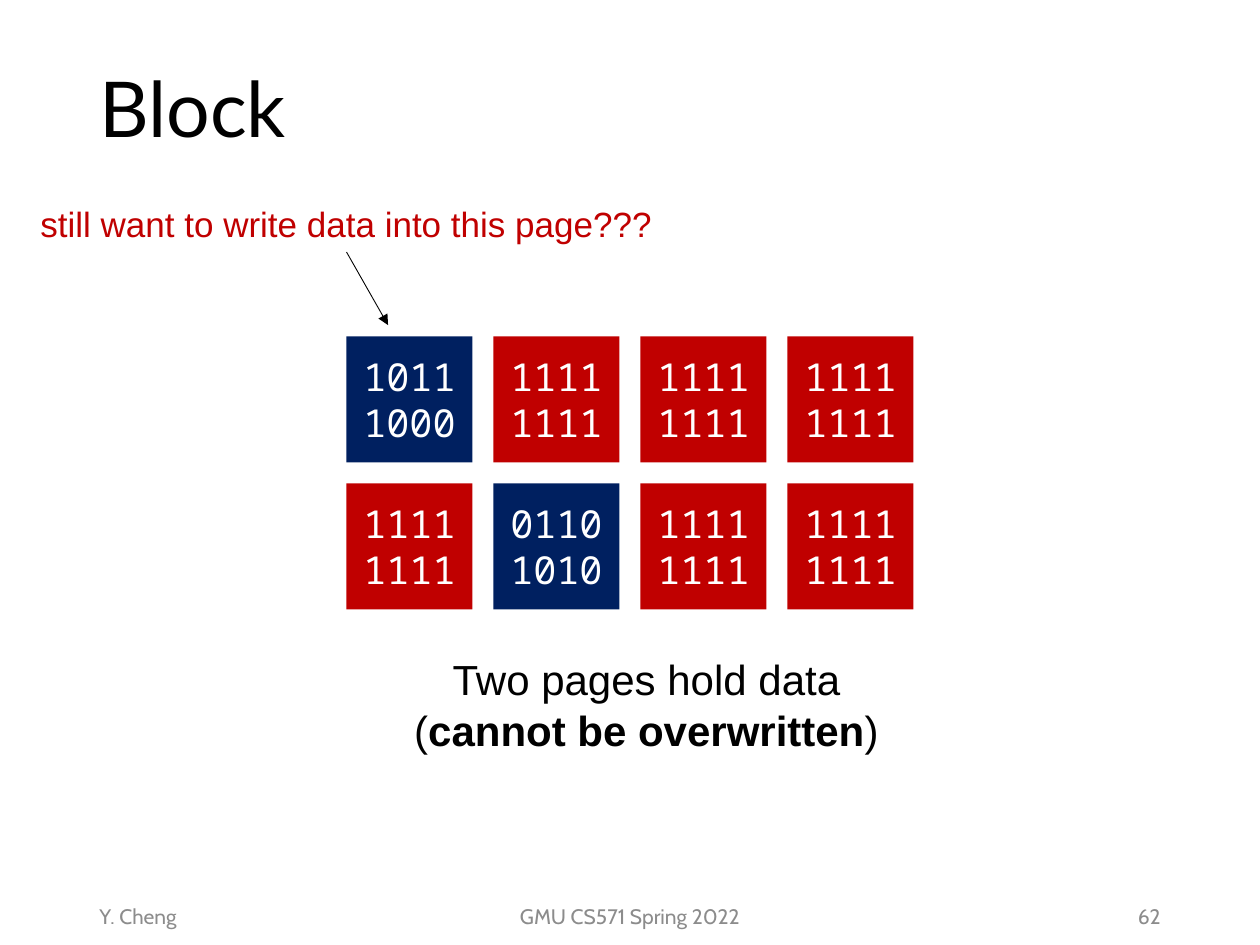
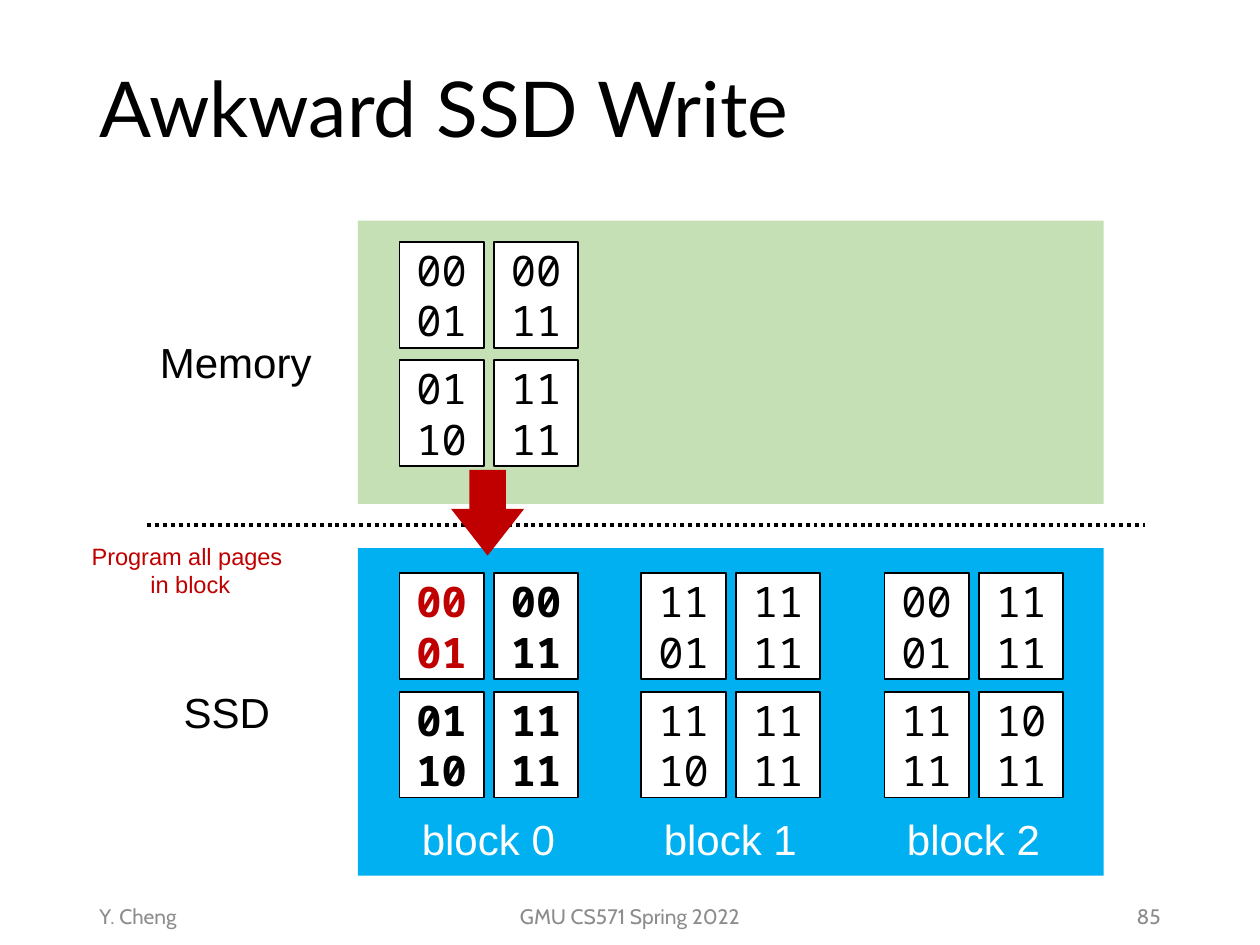
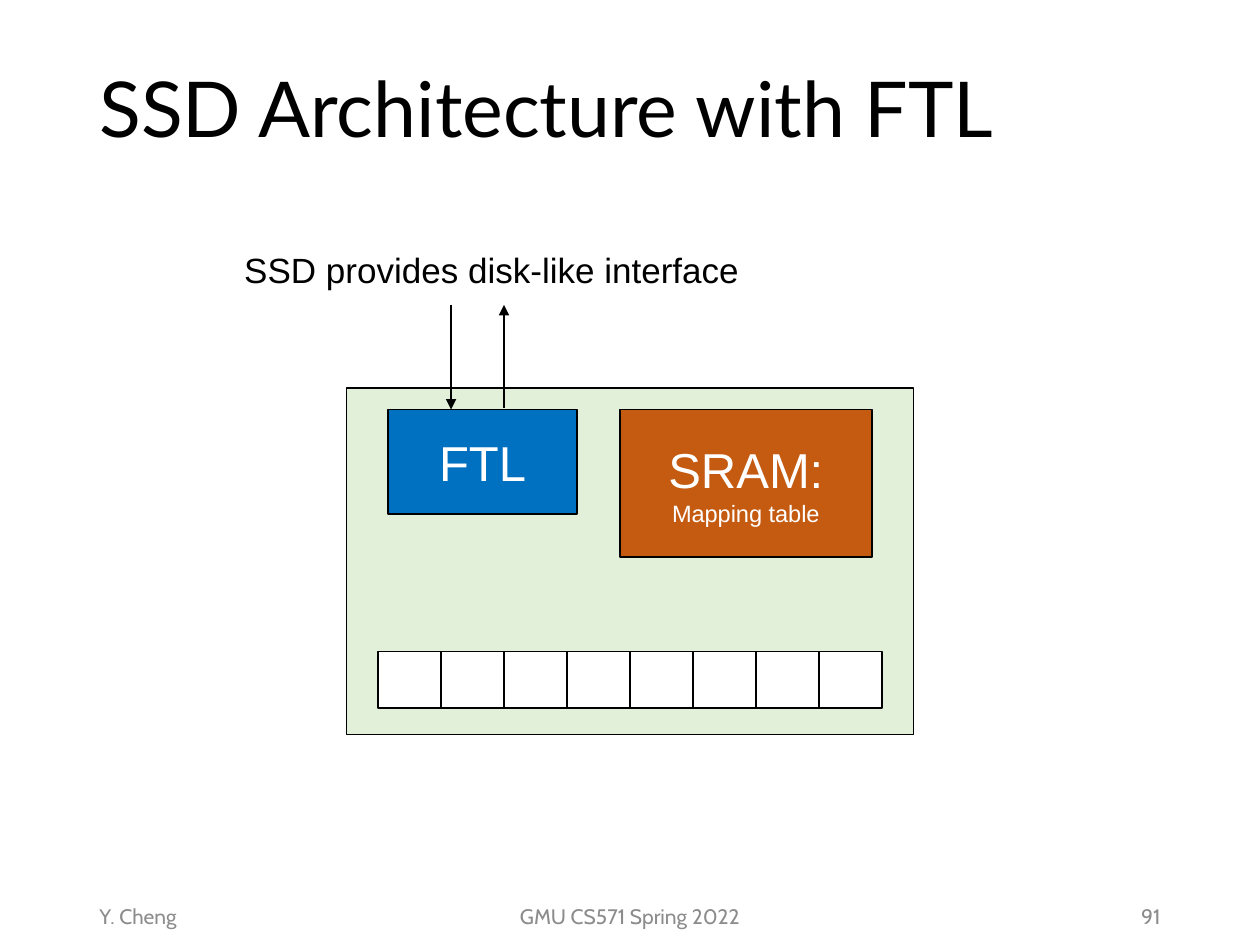
from lxml.etree import SubElement
from pptx import Presentation
from pptx.dml.color import RGBColor
from pptx.enum.dml import MSO_LINE
from pptx.enum.shapes import MSO_CONNECTOR, MSO_SHAPE
from pptx.enum.text import MSO_ANCHOR, MSO_AUTO_SIZE, PP_ALIGN
from pptx.oxml.ns import qn
from pptx.util import Inches, Pt

BLACK = RGBColor(0x00, 0x00, 0x00)
WHITE = RGBColor(0xFF, 0xFF, 0xFF)
GRAY = RGBColor(0x8C, 0x8C, 0x8C)
RED = RGBColor(0xC0, 0x00, 0x00)
NAVY = RGBColor(0x00, 0x20, 0x60)
BLUE = RGBColor(0x00, 0x70, 0xC0)
SKY = RGBColor(0x00, 0xB0, 0xF0)
GREEN = RGBColor(0xC5, 0xE0, 0xB4)
PALE_GREEN = RGBColor(0xE2, 0xF0, 0xD9)
ORANGE = RGBColor(0xC5, 0x5A, 0x11)

MONO = "Noto Sans Mono"
LEFT, CENTER, RIGHT = PP_ALIGN.LEFT, PP_ALIGN.CENTER, PP_ALIGN.RIGHT
TOP, MIDDLE = MSO_ANCHOR.TOP, MSO_ANCHOR.MIDDLE


def add_box(page, place, text="", fill=None, line=None, shape=MSO_SHAPE.RECTANGLE,
            font="Arial", size=24, color=BLACK, bold=False, align=CENTER,
            anchor=MIDDLE, wrap=True, spacing=None):
    """Add a filled shape, or a text box if there is no fill.

    Each line of text is a paragraph. A list gives spans as (text, size, bold).
    """
    place = [Inches(length) for length in place]
    if fill is None:
        box = page.shapes.add_textbox(*place)
    else:
        box = page.shapes.add_shape(shape, *place)
        box.shadow.inherit = False
        box.fill.solid()
        box.fill.fore_color.rgb = fill
        if line is None:
            box.line.fill.background()
        else:
            box.line.color.rgb = line
            box.line.width = Pt(1)
    if not text:
        return box

    frame = box.text_frame
    frame.word_wrap = wrap
    frame.vertical_anchor = anchor
    if not wrap:
        frame.auto_size = MSO_AUTO_SIZE.SHAPE_TO_FIT_TEXT
    if isinstance(text, str):
        paragraphs = [[(part, size, bold)] for part in text.split("\n")]
    else:
        paragraphs = text
    for index, spans in enumerate(paragraphs):
        para = frame.add_paragraph() if index else frame.paragraphs[0]
        para.alignment = align
        para.line_spacing = spacing
        for span_text, span_size, span_bold in spans:
            span = para.add_run()
            span.text = span_text
            span.font.name = font
            span.font.size = Pt(span_size)
            span.font.bold = span_bold
            span.font.color.rgb = color
    return box


def add_line(page, ends, width, dash=None, arrow=False):
    line = page.shapes.add_connector(MSO_CONNECTOR.STRAIGHT, *[Inches(end) for end in ends])
    line.line.color.rgb = BLACK
    line.line.width = Pt(width)
    if dash is not None:
        line.line.dash_style = dash
    properties = line._element.spPr
    if arrow:
        SubElement(properties.find(qn("a:ln")), qn("a:tailEnd"), type="triangle")
    SubElement(properties, qn("a:effectLst"))


deck = Presentation()
deck.slide_width = Inches(10)
deck.slide_height = Inches(7.5)

# Titles and footers
pages = []
for title, number in [("Block", "62"), ("Awkward SSD Write", "85"),
                      ("SSD Architecture with FTL", "91")]:
    page = deck.slides.add_slide(deck.slide_layouts[6])
    pages.append(page)
    add_box(page, (0.69, 0.17, 8.62, 1.45), title, font="Lato", size=44,
            align=LEFT, spacing=0.9)
    for left, width, text, align in [(0.69, 2.25, "Y. Cheng", LEFT),
                                     (3.31, 3.38, "GMU CS571 Spring 2022", CENTER),
                                     (7.06, 2.25, number, RIGHT)]:
        add_box(page, (left, 7.07, width, 0.4), text, font="Cabin", size=12,
                color=GRAY, align=align)
block_page, write_page, ftl_page = pages

# Block: grid of flash pages, navy where data is held
flash_rows = [["1011\n1000", "1111\n1111", "1111\n1111", "1111\n1111"],
              ["1111\n1111", "0110\n1010", "1111\n1111", "1111\n1111"]]
flash_pitch = 3.5 / 3
for row, cells in enumerate(flash_rows):
    for column, bits in enumerate(cells):
        add_box(block_page,
                (2.75 + column * flash_pitch, 2.67 + row * flash_pitch, 1, 1), bits,
                fill=RED if bits == "1111\n1111" else NAVY,
                font=MONO, size=22, color=WHITE)

# Block: question and caption
add_box(block_page, (0, 1.56, 5.5, 0.44), "still want to write data into this page???",
        size=20, color=RED, anchor=TOP)
add_line(block_page, (2.75, 2, 3.08, 2.58), 0.5, arrow=True)
add_box(block_page, (3.17, 5.14, 3.92, 0.91),
        [[("Two pages hold data (", 24, False), ("cannot be overwritten", 24, True),
          (")", 24, False)]], anchor=TOP)

# Awkward SSD Write: memory and SSD areas
add_box(write_page, (2.84, 1.75, 5.92, 2.25), fill=GREEN)
add_box(write_page, (2.84, 4.35, 5.92, 2.6), fill=SKY)
add_box(write_page, (1.17, 2.62, 1.42, 0.5), "Memory", align=LEFT, anchor=TOP, wrap=False)
add_box(write_page, (1.36, 5.4, 0.89, 0.5), "SSD", align=LEFT, anchor=TOP, wrap=False)
add_line(write_page, (1.17, 4.17, 9.09, 4.17), 2.25, dash=MSO_LINE.ROUND_DOT)

# Awkward SSD Write: groups of four pages, the rewritten block in bold
new_block = ["00\n01", "00\n11", "01\n10", "11\n11"]
for left, top, label, contents, bold in [
        (3.17, 1.92, "", new_block, False),
        (3.17, 4.55, "block 0", new_block, True),
        (5.09, 4.55, "block 1", ["11\n01", "11\n11", "11\n10", "11\n11"], False),
        (7.02, 4.55, "block 2", ["00\n01", "11\n11", "11\n11", "10\n11"], False)]:
    for index, bits in enumerate(contents):
        row, column = divmod(index, 2)
        add_box(write_page, (left + column * 0.75, top + row * 0.94, 0.67, 0.84), bits,
                fill=WHITE, line=BLACK, font=MONO, bold=bold,
                color=RED if bold and index == 0 else BLACK)
    if label:
        add_box(write_page, (left + 0.08, 6.41, 1.27, 0.5), label, color=WHITE,
                align=LEFT, anchor=TOP, wrap=False)

# Awkward SSD Write: programming step
add_box(write_page, (0.35, 4.25, 2.32, 0.71), "Program all pages \nin block",
        size=13.5, color=RED, anchor=TOP, wrap=False)
program_arrow = add_box(write_page, (3.58, 3.73, 0.58, 0.68), fill=RED,
                        shape=MSO_SHAPE.DOWN_ARROW)
program_arrow.adjustments[1] = 0.64

# SSD Architecture: device, controller parts and row of flash cells
add_box(ftl_page, (2.75, 3.08, 4.5, 2.75), fill=PALE_GREEN, line=BLACK)
add_box(ftl_page, (3.08, 3.25, 1.5, 0.83), "FTL", fill=BLUE, line=BLACK,
        size=28, color=WHITE)
add_box(ftl_page, (4.92, 3.25, 2, 1.17),
        [[("SRAM:", 28, False)], [("Mapping table", 13.5, False)]],
        fill=ORANGE, line=BLACK, color=WHITE)
for cell in range(8):
    add_box(ftl_page, (3 + cell * 0.5, 5.17, 0.5, 0.45), fill=WHITE, line=BLACK)

# SSD Architecture: interface
add_box(ftl_page, (1.84, 1.92, 4.16, 0.44), "SSD provides disk-like interface",
        size=20, align=LEFT, anchor=TOP, wrap=False)
add_line(ftl_page, (3.58, 2.42, 3.58, 3.25), 1.5, arrow=True)
add_line(ftl_page, (4, 3.24, 4, 2.42), 1.5, arrow=True)

deck.save("out.pptx")
